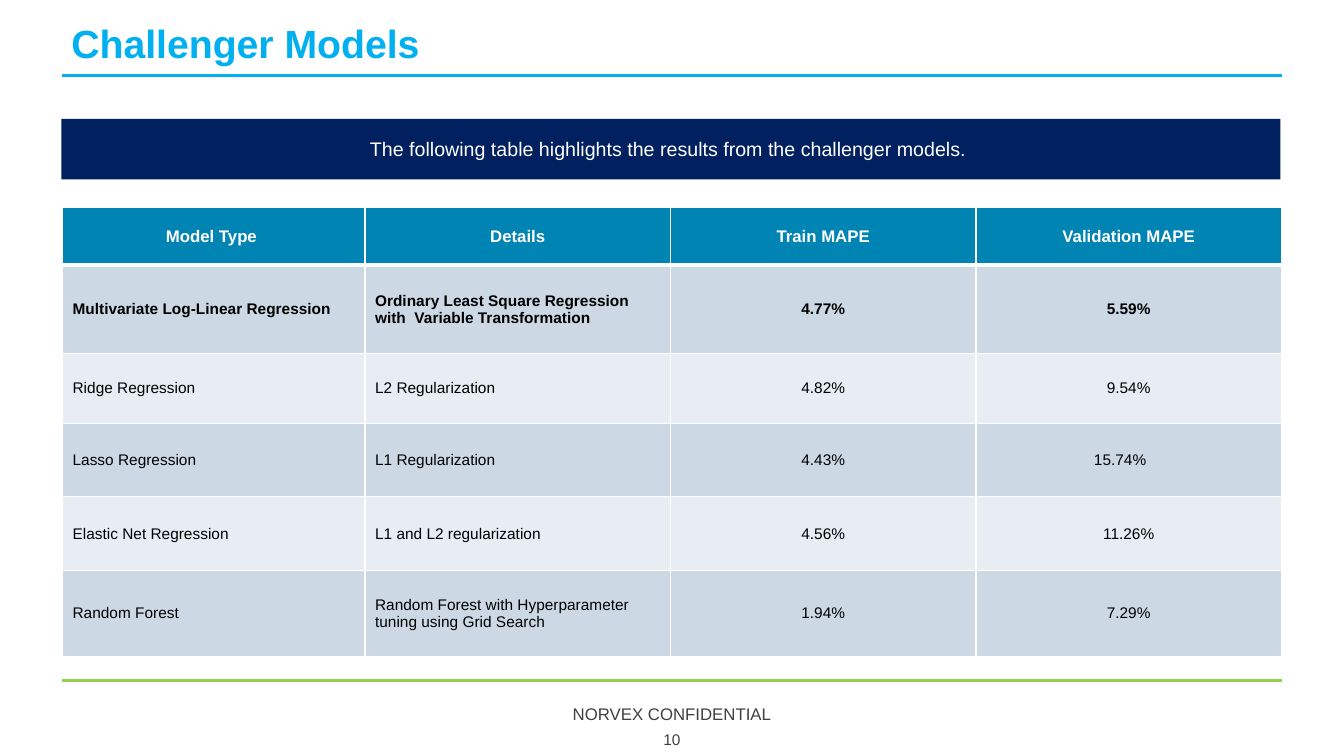
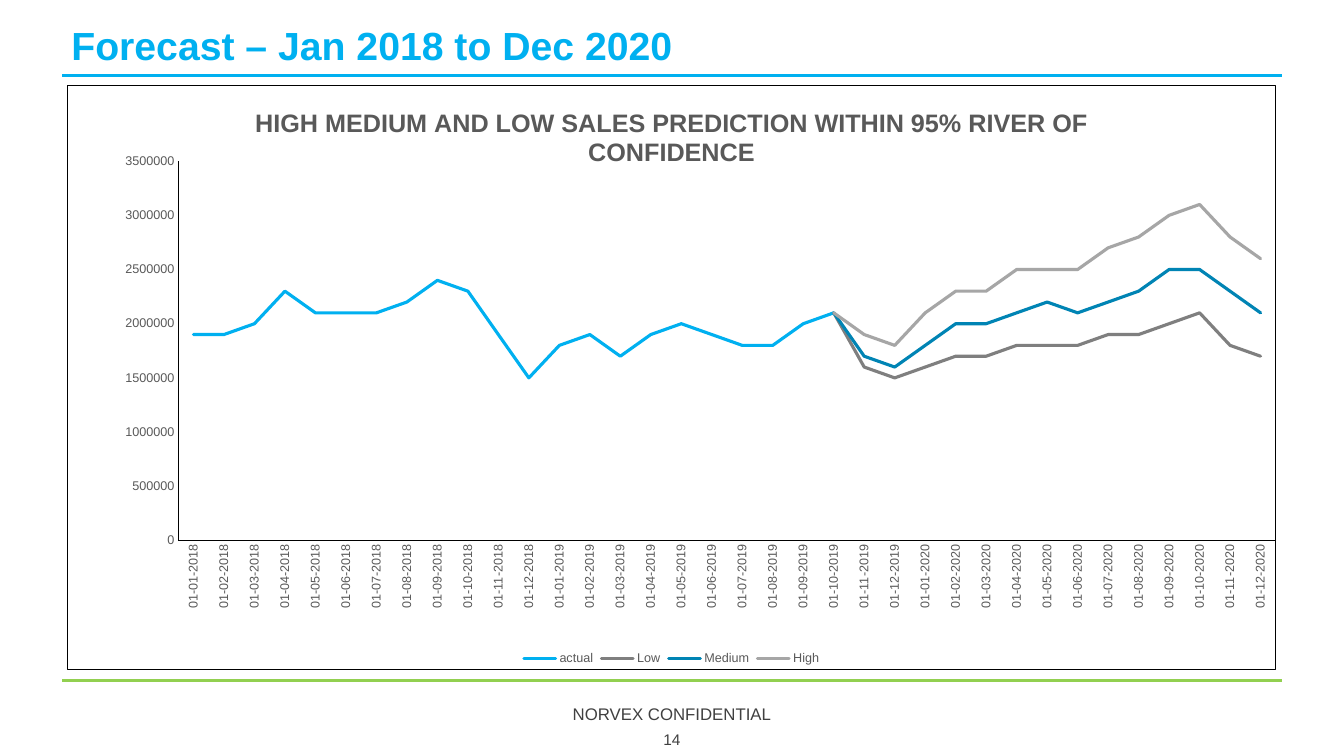
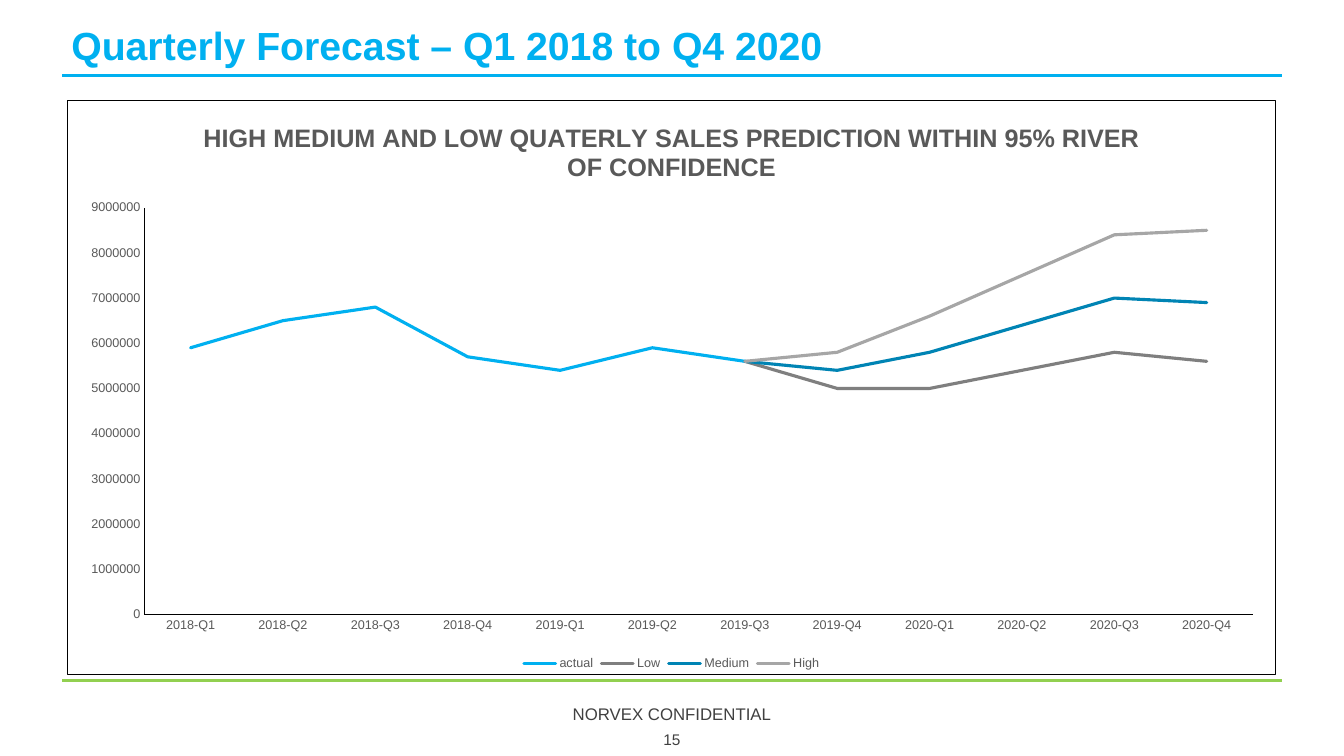
"""Build three slides on challenger models and sales forecasts."""
from pptx import Presentation
from pptx import util as u
from pptx.chart.data import CategoryChartData
from pptx.dml.color import RGBColor
from pptx.enum import chart as charts, shapes, text
from pptx.oxml import parse_xml
from pptx.oxml.ns import nsdecls, qn

WIDTH, HEIGHT = 13.33, 7.5
LEFT, RIGHT = 0.62, 12.72
FONT = "Arial"
SKY, GREEN, NAVY, TEAL = "00B0F0", "92D050", "002060", "0084B4"
WHITE, BLACK, GREY, DARK = "FFFFFF", "000000", "595959", "404040"
BANDS = ("CCD9E5", "E7EDF2")
FOOTER = "NORVEX CONFIDENTIAL"

INTRO = "The following table highlights the results from the challenger models. "
MODELS = [
    ("Model Type ", "Details", "Train MAPE", "Validation MAPE"),
    ("Multivariate Log-Linear Regression",
     "Ordinary Least Square Regression with  Variable Transformation", "4.77%", "5.59%"),
    ("Ridge Regression", "L2 Regularization", "4.82%", "9.54%"),
    ("Lasso Regression", "L1 Regularization", "4.43%", "15.74%"),
    ("Elastic Net Regression", "L1 and L2 regularization", "4.56%", "11.26%"),
    ("Random Forest", "Random Forest with Hyperparameter tuning using Grid Search",
     "1.94%", "7.29%"),
]
COLUMN_WIDTHS = (3, 3.03, 3.03, 3.03)
ROW_HEIGHTS = (0.57, 0.88, 0.69, 0.73, 0.73, 0.85)
SHIFTED_CELL, SHIFTED_MARGIN = (3, 3), 0.27

SERIES_COLORS = {"actual": SKY, "Low": "7F7F7F", "Medium": TEAL, "High": "A6A6A6"}
UNIT = 100000
YEARS = (2018, 2019, 2020)
FORECASTS = [
    dict(
        heading="Forecast – Jan 2018 to Dec 2020", number=14,
        title="HIGH MEDIUM AND LOW SALES PREDICTION WITHIN 95% RIVER OF CONFIDENCE",
        top=0.84, height=5.81, plot=(0.092, 0.13, 0.908, 0.649),
        peak=3500000, step=500000, rotation=-90,
        categories=[f"01-{month:02}-{year}" for year in YEARS for month in range(1, 13)],
        values={
            "actual": [19, 19, 20, 23, 21, 21, 21, 22, 24, 23, 19, 15, 18, 19, 17, 19, 20,
                       19, 18, 18, 20, 21],
            "Low": [16, 15, 16, 17, 17, 18, 18, 18, 19, 19, 20, 21, 18, 17],
            "Medium": [17, 16, 18, 20, 20, 21, 22, 21, 22, 23, 25, 25, 23, 21],
            "High": [19, 18, 21, 23, 23, 25, 25, 25, 27, 28, 30, 31, 28, 26],
        }),
    dict(
        heading="Quarterly Forecast – Q1 2018 to Q4 2020", number=15,
        title="HIGH MEDIUM AND LOW QUATERLY SALES PREDICTION WITHIN 95% RIVER OF CONFIDENCE",
        top=0.99, height=5.71, plot=(0.064, 0.187, 0.917, 0.708),
        peak=9000000, step=1000000, rotation=0,
        categories=[f"{year}-Q{quarter}" for year in YEARS for quarter in range(1, 5)],
        values={
            "actual": [59, 65, 68, 57, 54, 59, 56],
            "Low": [50, 50, 54, 58, 56],
            "Medium": [54, 58, 64, 70, 69],
            "High": [58, 66, 75, 84, 85],
        }),
]


def rgb(value):
    return RGBColor.from_string(value)


def inches(*values):
    return [u.Inches(value) for value in values]


def style(font, size, color, bold=False):
    font.name, font.size, font.bold = FONT, u.Pt(size), bold
    font.color.rgb = rgb(color)


def write(frame, words, size, color, bold=False, align="CENTER", anchor="MIDDLE"):
    frame.word_wrap = True
    frame.vertical_anchor = getattr(text.MSO_ANCHOR, anchor)
    para = frame.paragraphs[0]
    para.text = words
    para.alignment = getattr(text.PP_ALIGN, align)
    style(para.font, size, color, bold)
    return para


def add_rule(page, y, color):
    rule = page.shapes.add_connector(shapes.MSO_CONNECTOR.STRAIGHT, *inches(LEFT, y, RIGHT, y))
    rule.line.color.rgb = rgb(color)
    rule.line.width = u.Pt(2.25)
    rule._element.spPr.append(parse_xml(f"<a:effectLst {nsdecls('a')}/>"))


def add_page(deck, heading, number, title_top=0.13):
    page = deck.slides.add_slide(deck.slide_layouts[6])
    add_rule(page, 6.75, GREEN)
    add_rule(page, 0.75, SKY)
    box = page.shapes.add_textbox(*inches(0.61, title_top, 11.74, 0.6))
    para = write(box.text_frame, heading, 28, SKY, True, "LEFT", "BOTTOM")
    para.line_spacing = 0.9
    for words, top, width, height, size in (
            (FOOTER, 6.93, 4.5, 0.3, 12), (str(number), 7.21, 1.09, 0.25, 11)):
        box = page.shapes.add_textbox(*inches((WIDTH - width) / 2, top, width, height))
        write(box.text_frame, words, size, DARK)
    return page


def add_borders(cell, bottom):
    properties = cell._tc.get_or_add_tcPr()
    for side, points in (("L", 1), ("R", 1), ("T", 1), ("B", bottom)):
        properties.append(parse_xml(
            f'<a:ln{side} {nsdecls("a")} w="{u.Pt(points)}"><a:solidFill>'
            f'<a:srgbClr val="{WHITE}"/></a:solidFill></a:ln{side}>'))


def add_models(deck):
    page = add_page(deck, "Challenger Models", 10, 0.11)
    total = sum(COLUMN_WIDTHS)
    table = page.shapes.add_table(
        len(MODELS), len(COLUMN_WIDTHS),
        *inches(LEFT, 2.06, total, sum(ROW_HEIGHTS))).table
    for column, width in zip(table.columns, COLUMN_WIDTHS):
        column.width = u.Inches(width)
    for row, height in zip(table.rows, ROW_HEIGHTS):
        row.height = u.Inches(height)
    for r, row in enumerate(MODELS):
        header = r == 0
        for c, words in enumerate(row):
            cell = table.cell(r, c)
            add_borders(cell, 3 if header else 1)
            cell.fill.solid()
            cell.fill.fore_color.rgb = rgb(TEAL if header else BANDS[(r - 1) % 2])
            cell.vertical_anchor = text.MSO_ANCHOR.MIDDLE
            if (r, c) == SHIFTED_CELL:
                cell.margin_right = u.Inches(SHIFTED_MARGIN)
            para = cell.text_frame.paragraphs[0]
            para.text = words
            centred = header or c > 1
            para.alignment = text.PP_ALIGN.CENTER if centred else text.PP_ALIGN.LEFT
            style(para.font, 12 if header else 11, WHITE if header else BLACK, r < 2)
    banner = page.shapes.add_shape(
        shapes.MSO_SHAPE.RECTANGLE, *inches(0.61, 1.18, 12.09, 0.6))
    banner.shadow.inherit = False
    banner.fill.solid()
    banner.fill.fore_color.rgb = rgb(NAVY)
    banner.line.fill.background()
    write(banner.text_frame, INTRO, 14, WHITE)


def set_plot(chart, plot):
    area = chart._chartSpace.chart.plotArea
    for layout in area.findall(qn("c:layout")):
        area.remove(layout)
    sizes = "".join(f'<c:{tag} val="{share}"/>' for tag, share in zip("xywh", plot))
    area.insert(0, parse_xml(
        f'<c:layout {nsdecls("c")}><c:manualLayout><c:layoutTarget val="inner"/>'
        f'<c:xMode val="edge"/><c:yMode val="edge"/>{sizes}</c:manualLayout></c:layout>'))


def add_forecast(deck, forecast):
    page = add_page(deck, forecast["heading"], forecast["number"])
    data = CategoryChartData(number_format="General")
    data.categories = forecast["categories"]
    values = forecast["values"]
    actual = values["actual"]
    for name, numbers in values.items():
        if name != "actual":
            numbers = [None] * (len(actual) - 1) + actual[-1:] + numbers
        padded = numbers + [None] * (len(forecast["categories"]) - len(numbers))
        data.add_series(name, [n and n * UNIT for n in padded])
    chart = page.shapes.add_chart(
        charts.XL_CHART_TYPE.LINE,
        *inches(0.66, forecast["top"], 12, forecast["height"]), data).chart
    style(chart.font, 10, BLACK)
    chart._chartSpace.chart.addnext(parse_xml(
        f'<c:spPr {nsdecls("c", "a")}><a:noFill/><a:ln w="{u.Pt(0.75)}"><a:solidFill>'
        f'<a:srgbClr val="{BLACK}"/></a:solidFill></a:ln></c:spPr>'))
    chart.has_title = True
    title = chart.chart_title
    title.include_in_layout = False
    para = title.text_frame.paragraphs[0]
    para.text = forecast["title"]
    style(para.font, 18, GREY, True)
    chart.has_legend = True
    chart.legend.position = charts.XL_LEGEND_POSITION.BOTTOM
    chart.legend.include_in_layout = False
    style(chart.legend.font, 9, GREY)
    for axis in (chart.category_axis, chart.value_axis):
        axis.has_major_gridlines = False
        axis.major_tick_mark = axis.minor_tick_mark = charts.XL_TICK_MARK.NONE
        axis.format.line.color.rgb = rgb(BLACK)
        axis.format.line.width = u.Pt(0.75)
        style(axis.tick_labels.font, 9, GREY)
    labels = chart.category_axis._element.find(qn("c:txPr")).find(qn("a:bodyPr"))
    labels.set("rot", str(forecast["rotation"] * 60000))
    chart.value_axis.minimum_scale = 0
    chart.value_axis.maximum_scale = forecast["peak"]
    chart.value_axis.major_unit = forecast["step"]
    chart.plots[0].vary_by_categories = False
    for series in chart.plots[0].series:
        series.smooth = False
        series.format.line.color.rgb = rgb(SERIES_COLORS[series.name])
        series.format.line.width = u.Pt(2.25)
        series._element.find(qn("c:spPr")).find(qn("a:ln")).set("cap", "rnd")
    set_plot(chart, forecast["plot"])


def main():
    deck = Presentation()
    deck.slide_width, deck.slide_height = inches(WIDTH, HEIGHT)
    add_models(deck)
    for forecast in FORECASTS:
        add_forecast(deck, forecast)
    deck.save("out.pptx")


if __name__ == "__main__":
    main()
